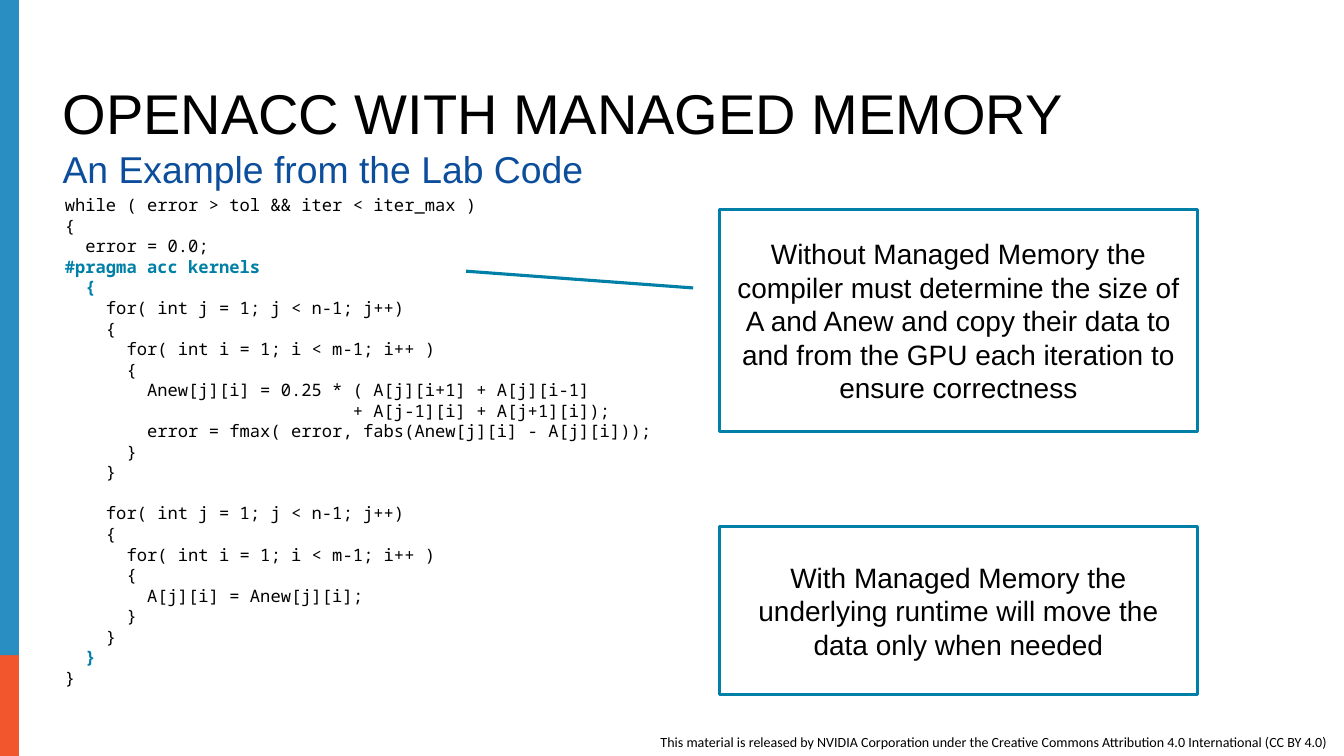
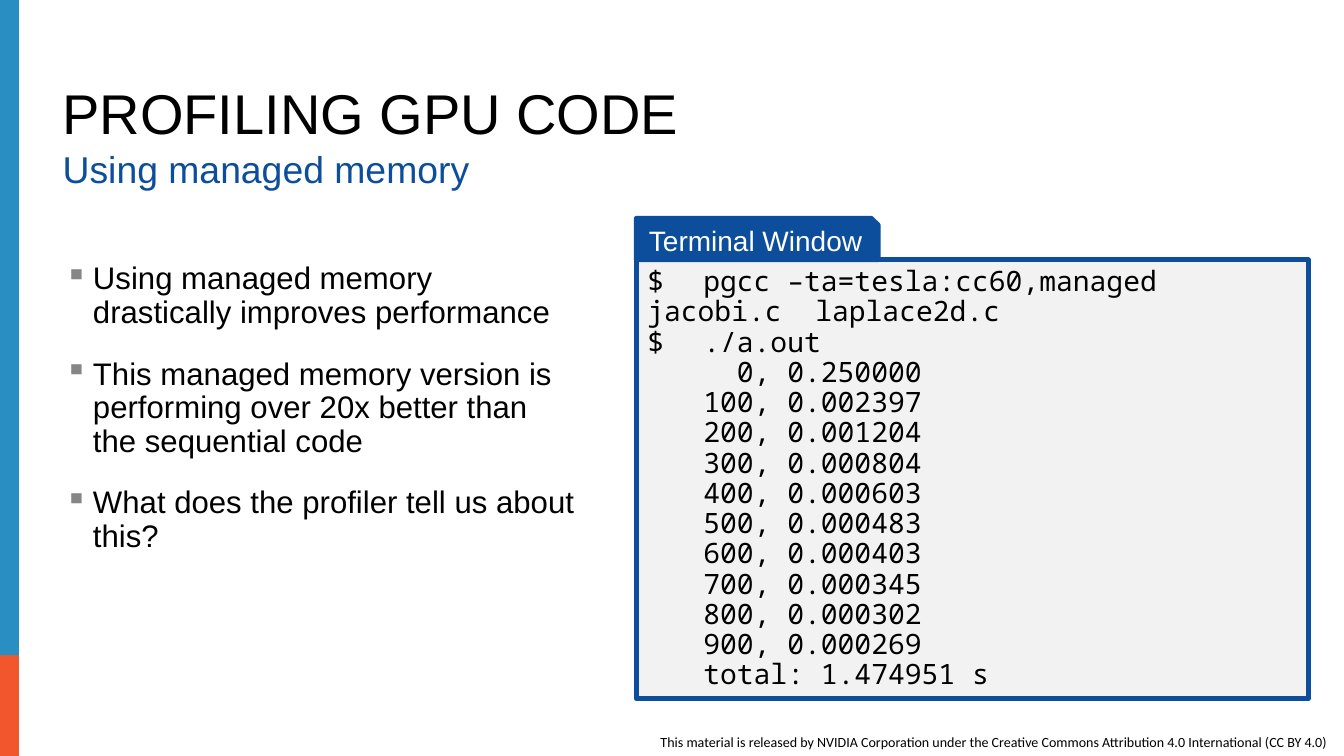
import pptx
import pptx.util
import pptx.dml.color
import pptx.enum.shapes
import pptx.enum.text
import pptx.oxml.ns
from lxml import etree

Cm = pptx.util.Cm
Pt = pptx.util.Pt
qn = pptx.oxml.ns.qn
SHAPES = pptx.enum.shapes.MSO_SHAPE
ANCHOR = pptx.enum.text.MSO_ANCHOR
ALIGN = pptx.enum.text.PP_ALIGN

COLORS = {
    "text": "000000",
    "white": "FFFFFF",
    "navy": "0C4E9B",
    "teal": "0080A7",
    "blue_stripe": "298EC2",
    "orange_stripe": "F1562D",
    "terminal": "F2F2F2",
    "bullet": "868686",
}
SANS, MONO, FOOTER_FONT = "Arial", "Noto Sans Mono", "Calibri"
LICENSE = (
    "This material is released by NVIDIA Corporation under the "
    "Creative Commons Attribution 4.0 International (CC BY 4.0)"
)

JACOBI_CODE = """while ( error > tol && iter < iter_max )
{
  error = 0.0;
#pragma acc kernels
  {
    for( int j = 1; j < n-1; j++)
    {
      for( int i = 1; i < m-1; i++ )
      {
        Anew[j][i] = 0.25 * ( A[j][i+1] + A[j][i-1]
                            + A[j-1][i] + A[j+1][i]);
        error = fmax( error, fabs(Anew[j][i] - A[j][i]));
      }
    }

    for( int j = 1; j < n-1; j++)
    {
      for( int i = 1; i < m-1; i++ )
      {
        A[j][i] = Anew[j][i];
      }
    }
  }
}"""
KERNELS_REGION = ("#pragma acc kernels", "  {", "  }")

TERMINAL_OUTPUT = """$\tpgcc –ta=tesla:cc60,managed jacobi.c \tlaplace2d.c
$\t./a.out
\t  0, 0.250000
\t100, 0.002397
\t200, 0.001204
\t300, 0.000804
\t400, 0.000603
\t500, 0.000483
\t600, 0.000403
\t700, 0.000345
\t800, 0.000302
\t900, 0.000269
\ttotal: 1.474951 s"""

PROFILING_POINTS = """Using managed memory drastically improves performance
This managed memory version is performing over 20x better than the sequential code
What does the profiler tell us about this?"""


def rgb(name):
    return pptx.dml.color.RGBColor.from_string(COLORS[name])


class Deck:
    def __init__(self):
        self.presentation = pptx.Presentation()
        self.presentation.slide_width = Cm(30.48)
        self.presentation.slide_height = Cm(30.48 * 9 / 16)
        self.slide = None

    def start_slide(self, title, subtitle):
        self.slide = self.presentation.slides.add_slide(
            self.presentation.slide_layouts[6])
        self.text(LICENSE, (14.73, 16.51, 17.17, 0.64), 9, font=FOOTER_FONT)
        self.shape((-0.08, 12.88, 0.51, 4.27), "orange_stripe")
        self.shape((-0.08, 0, 0.51, 14.86), "blue_stripe")
        self.text(title, (1.17, 1.8, 27.71, 1.65), 36, spacing=0.9,
                  anchor=ANCHOR.BOTTOM)
        self.text(subtitle, (1.17, 3.3, 27.71, 1.45), 24, color="navy",
                  spacing=0.9)

    def fill_frame(self, frame, content, size, font=SANS, color="text",
                   spacing=None, anchor=ANCHOR.TOP, align=ALIGN.LEFT):
        frame.text = content
        frame.word_wrap = True
        frame.vertical_anchor = anchor
        for paragraph in frame.paragraphs:
            paragraph.alignment = align
            if spacing:
                paragraph.line_spacing = spacing
            for run in paragraph.runs:
                run.font.size = Pt(size)
                run.font.name = font
                run.font.color.rgb = rgb(color)
            if not paragraph.runs:
                end = etree.SubElement(paragraph._p, qn("a:endParaRPr"),
                                       sz=str(size * 100))
                etree.SubElement(end, qn("a:latin"), typeface=font)

    def text(self, content, box, size, **style):
        frame = self.slide.shapes.add_textbox(*map(Cm, box)).text_frame
        self.fill_frame(frame, content, size, **style)
        return frame

    def shape(self, box, fill, line=None, weight=2, kind=SHAPES.RECTANGLE):
        shape = self.slide.shapes.add_shape(kind, *map(Cm, box))
        shape.shadow.inherit = False
        shape.fill.solid()
        shape.fill.fore_color.rgb = rgb(fill)
        if line:
            shape.line.color.rgb = rgb(line)
            shape.line.width = Pt(weight)
        else:
            shape.line.fill.background()
        return shape

    def note(self, content, box):
        note = self.shape(box, "white", "teal")
        self.fill_frame(note.text_frame, content, 18, anchor=ANCHOR.MIDDLE,
                        align=ALIGN.CENTER)

    def pointer(self, start, end):
        pointer = self.slide.shapes.add_connector(
            pptx.enum.shapes.MSO_CONNECTOR.STRAIGHT, *map(Cm, start + end))
        pointer.line.color.rgb = rgb("teal")
        pointer.line.width = Pt(2)
        etree.SubElement(pointer._element.spPr, qn("a:effectLst"))

    def code(self, content, box, highlighted):
        frame = self.text(content, box, 11, font=MONO)
        for line in frame.paragraphs:
            if line.text in highlighted:
                for run in line.runs:
                    run.font.bold = True
                    run.font.color.rgb = rgb("teal")

    def bullets(self, content, box):
        frame = self.text(content, box, 20, spacing=0.9)
        for index, point in enumerate(frame.paragraphs):
            if index:
                point.space_before = Pt(18)
            properties = point._p.get_or_add_pPr()
            properties.set("marL", str(Cm(0.64)))
            properties.set("indent", str(-Cm(0.64)))
            bullet_color = etree.SubElement(properties, qn("a:buClr"))
            etree.SubElement(bullet_color, qn("a:srgbClr"),
                             val=COLORS["bullet"])
            etree.SubElement(properties, qn("a:buChar"), char="▪")

    def terminal(self, caption, content, left, top, width, height):
        tab_height = 0.94
        window = self.shape((left, top, width, height), "terminal", "navy", 3)
        self.fill_frame(window.text_frame, content, 18, font=MONO,
                        spacing=0.9, anchor=ANCHOR.MIDDLE)
        tab = self.shape((left, top - tab_height, 5.49, tab_height),
                         "navy", "navy", 3, SHAPES.SNIP_1_RECTANGLE)
        self.fill_frame(tab.text_frame, caption, 18, color="white",
                        anchor=ANCHOR.MIDDLE, align=ALIGN.CENTER)


def main():
    deck = Deck()

    deck.start_slide("OPENACC WITH MANAGED MEMORY",
                     "An Example from the Lab Code")
    deck.code(JACOBI_CODE, (1.22, 4.29, 14.4, 11.86), KERNELS_REGION)
    deck.note("Without Managed Memory the compiler must determine the size "
              "of A and Anew and copy their data to and from the GPU each "
              "iteration to ensure correctness", (16.31, 4.75, 10.85, 5.04))
    deck.pointer((15.72, 6.53), (10.57, 6.15))
    deck.note("With Managed Memory the underlying runtime will move the "
              "data only when needed", (16.31, 11.94, 10.85, 3.81))

    deck.start_slide("PROFILING GPU CODE", "Using managed memory")
    deck.bullets(PROFILING_POINTS, (1.22, 5.84, 12.09, 10.34))
    deck.terminal("Terminal Window", TERMINAL_OUTPUT,
                  14.43, 5.89, 15.24, 9.96)

    deck.presentation.save("out.pptx")


if __name__ == "__main__":
    main()
